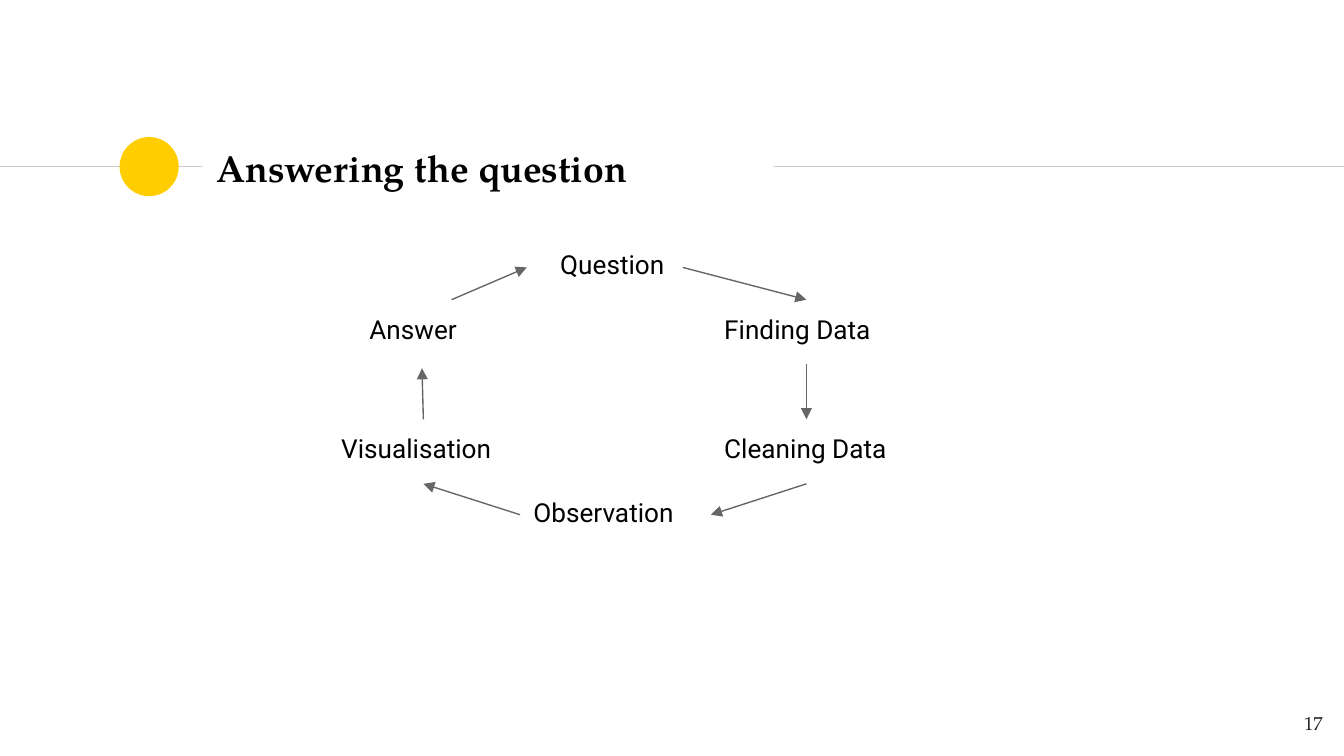
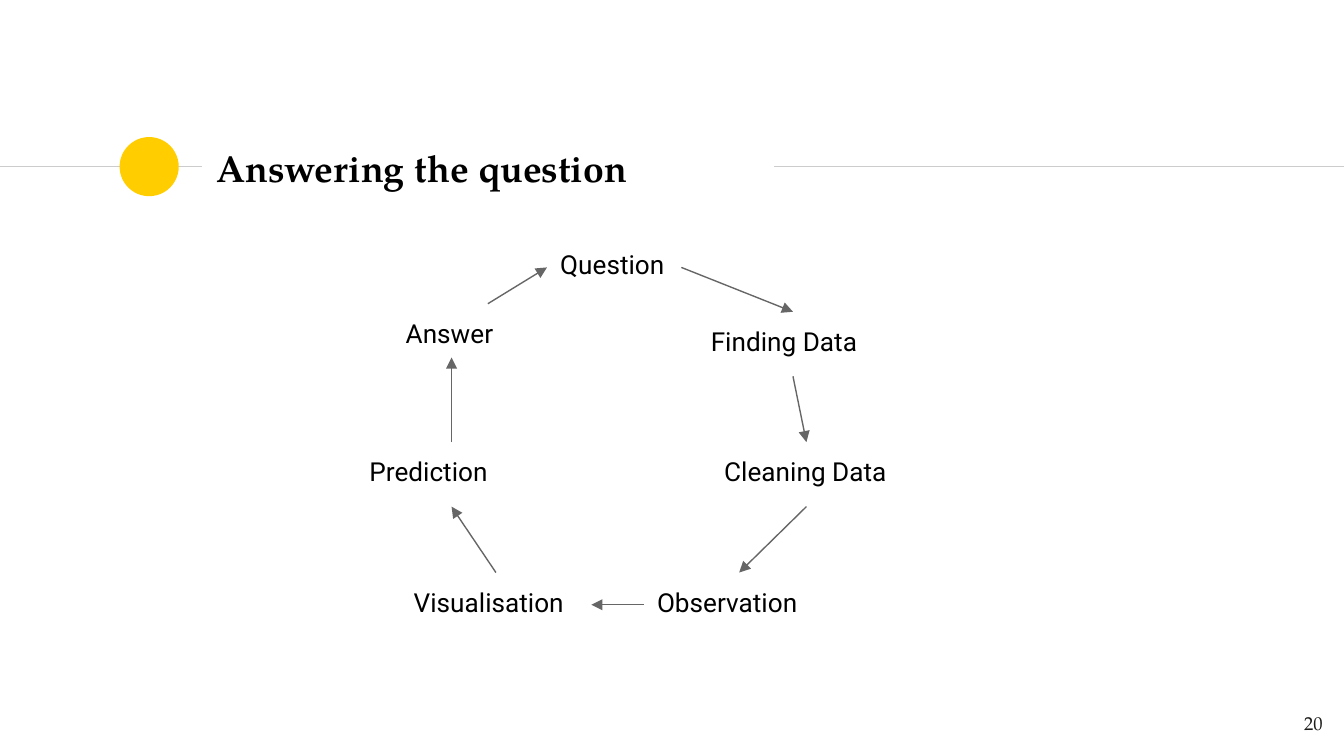
from pptx import Presentation
from pptx.dml.color import RGBColor
from pptx.enum.shapes import MSO_CONNECTOR, MSO_SHAPE
from pptx.enum.text import MSO_ANCHOR, PP_ALIGN
from pptx.oxml.ns import qn
from pptx.util import Inches, Pt
from lxml.etree import SubElement

BLACK = RGBColor(0x00, 0x00, 0x00)
INK = RGBColor(0x1D, 0x1D, 0x1B)
YELLOW = RGBColor(0xFF, 0xCD, 0x00)
RULE_GREY = RGBColor(0xCC, 0xCC, 0xCC)
ARROW_GREY = RGBColor(0x66, 0x66, 0x66)

SERIF = "TeX Gyre Pagella"
TITLE_FONT = {"name": SERIF, "size": Pt(20), "bold": True}
NUMBER_FONT = {"name": SERIF, "size": Pt(10)}
STAGE_FONT = {"name": "Roboto", "size": Pt(14)}

SLIDE_WIDTH = 10
SLIDE_HEIGHT = SLIDE_WIDTH * 9 / 16
STAGE_WIDTH = 1.42
STAGE_HEIGHT = 0.48
RULE_Y = 1.24
RULES = [(0, 1.5), (5.76, SLIDE_WIDTH)]

# Stage: label, left, top, width, arrow entry, arrow exit (a side or a point)
CYCLES = [
    {
        "title": "Answering the question",
        "number": "17",
        "stages": [
            ("Question", 4.07, 1.75, 1.22, (3.92, 1.99), (5.08, 1.99)),
            ("Finding Data", 5.29, 2.23, STAGE_WIDTH, "top", "bottom"),
            ("Cleaning Data", 5.29, 3.12, STAGE_WIDTH, "top", "bottom"),
            ("Observation", 3.87, 3.59, STAGE_WIDTH, "right", "left"),
            ("Visualisation", 2.44, 3.12, STAGE_WIDTH, "bottom", "top"),
            ("Answer", 2.65, 2.23, STAGE_WIDTH, (3.14, 2.74), "top"),
        ],
    },
    {
        "title": "Answering the question",
        "number": "20",
        "stages": [
            ("Question", 4.07, 1.75, 1.12, "left", (5.07, 1.99)),
            ("Finding Data", 5.19, 2.32, STAGE_WIDTH, "top", "bottom"),
            ("Cleaning Data", 5.29, 3.29, STAGE_WIDTH, "top", "bottom"),
            ("Observation", 4.79, 4.26, STAGE_WIDTH, "top", "left"),
            ("Visualisation", 2.98, 4.26, STAGE_WIDTH, "right", "top"),
            ("Prediction", 2.65, 3.29, STAGE_WIDTH, "bottom", "top"),
            ("Answer", 2.92, 2.26, STAGE_WIDTH, (3.36, 2.66), "top"),
        ],
    },
]


def add_text(slide, text, box, font, color=BLACK, anchor=MSO_ANCHOR.TOP,
             alignment=PP_ALIGN.LEFT):
    shape = slide.shapes.add_textbox(*map(Inches, box))
    frame = shape.text_frame
    frame_format = {"word_wrap": True, "vertical_anchor": anchor}
    for side in ("left", "top", "right", "bottom"):
        frame_format[f"margin_{side}"] = Inches(0.1)
    for name, value in frame_format.items():
        setattr(frame, name, value)
    paragraph = frame.paragraphs[0]
    paragraph.alignment = alignment
    run = paragraph.add_run()
    run.text = text
    for name, value in font.items():
        setattr(run.font, name, value)
    run.font.color.rgb = color


def add_line(slide, start, end, color, arrow=False):
    connector = slide.shapes.add_connector(
        MSO_CONNECTOR.STRAIGHT, *map(Inches, (*start, *end)))
    connector.line.color.rgb = color
    connector.line.width = Pt(0.75)
    properties = connector._element.spPr
    if arrow:
        SubElement(properties.find(qn("a:ln")), qn("a:tailEnd"), type="triangle")
    SubElement(properties, qn("a:effectLst"))


def arrow_point(stage, place):
    if isinstance(place, tuple):
        return place
    label, left, top, width, entry, leave = stage
    middle_x = left + width / 2
    middle_y = top + STAGE_HEIGHT / 2
    return {
        "left": (left, middle_y),
        "right": (left + width, middle_y),
        "top": (middle_x, top),
        "bottom": (middle_x, top + STAGE_HEIGHT),
    }[place]


def add_frame(slide, title, number):
    for start, end in RULES:
        add_line(slide, (start, RULE_Y), (end, RULE_Y), RULE_GREY)
    dot = slide.shapes.add_shape(
        MSO_SHAPE.OVAL, *map(Inches, (0.89, 1.02, 0.44, 0.44)))
    dot.shadow.inherit = False
    dot.fill.solid()
    dot.fill.fore_color.rgb = YELLOW
    dot.line.fill.background()
    add_text(slide, title, (1.51, 1.01, 4.24, 0.48), TITLE_FONT,
             anchor=MSO_ANCHOR.MIDDLE)
    add_text(slide, number, (9.34, 5.21, 0.6, 0.43), NUMBER_FONT, INK,
             alignment=PP_ALIGN.RIGHT)


def add_cycle(slide, stages):
    for label, left, top, width, entry, leave in stages:
        add_text(slide, label, (left, top, width, STAGE_HEIGHT), STAGE_FONT)
    for stage, following in zip(stages, stages[1:] + stages[:1]):
        add_line(slide, arrow_point(stage, stage[5]),
                 arrow_point(following, following[4]), ARROW_GREY, arrow=True)


def main():
    presentation = Presentation()
    presentation.slide_width = Inches(SLIDE_WIDTH)
    presentation.slide_height = Inches(SLIDE_HEIGHT)
    blank = presentation.slide_layouts[6]
    for cycle in CYCLES:
        slide = presentation.slides.add_slide(blank)
        add_frame(slide, cycle["title"], cycle["number"])
        add_cycle(slide, cycle["stages"])
    presentation.save("out.pptx")


if __name__ == "__main__":
    main()
